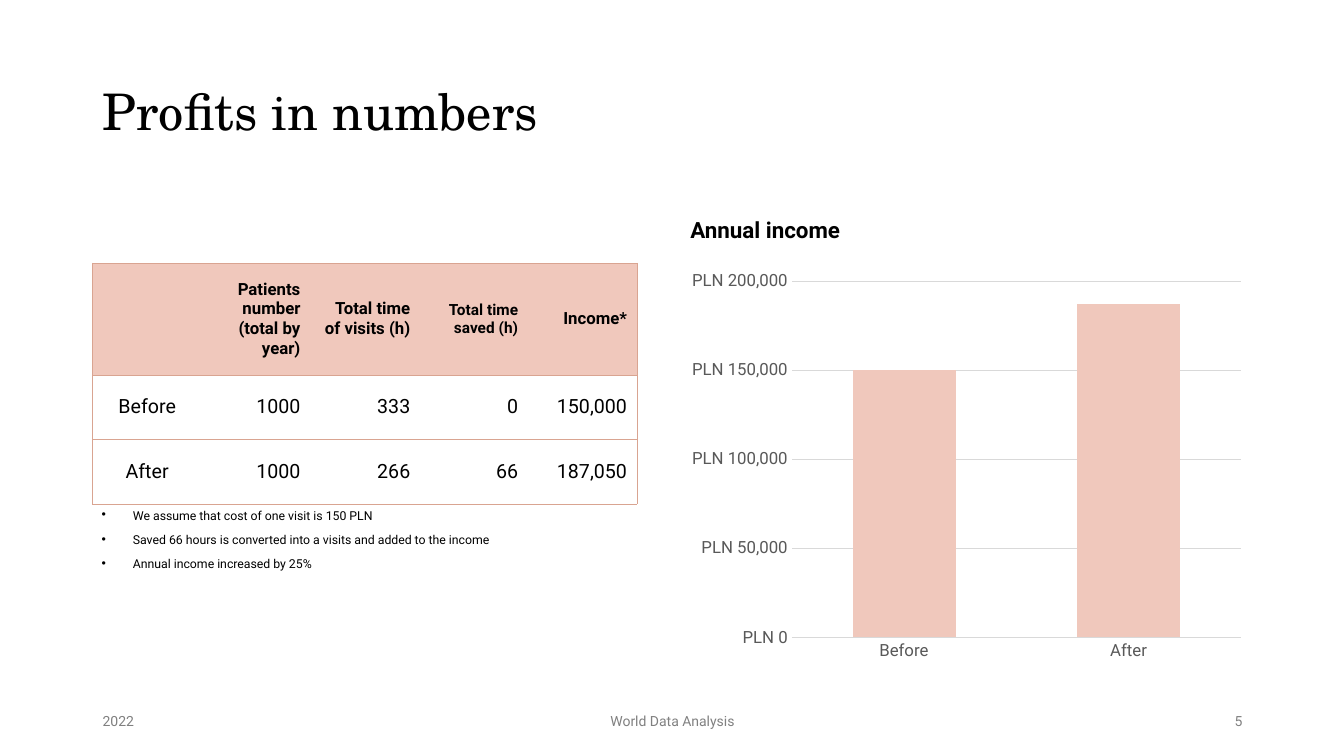
"""Build the slide on profits in numbers."""
from dataclasses import dataclass

from lxml.etree import SubElement as Sub
from pptx import Presentation
from pptx.chart.data import CategoryChartData as Data
from pptx.dml.color import RGBColor as RGB
from pptx.enum.chart import XL_CHART_TYPE as Kind, XL_TICK_MARK as Tick
from pptx.enum.text import MSO_ANCHOR as Anchor, PP_ALIGN as Align
from pptx.oxml.ns import qn
from pptx.util import Inches, Pt

TITLE = "Profits in numbers"
HEADS = ["", "Patients number (total by year)", "Total time of visits (h)",
         "Total time saved (h)", "Income*"]
ROWS = [HEADS,
        ["Before", "1000", "333", "0", "150,000"],
        ["After", "1000", "266", "66", "187,050"]]
WIDE = [1.08, 1.08, 1.09, 1.07, 1.08]
HIGH = [1.11, 0.64, 0.64]
NOTES = ["We assume that cost of one visit is 150 PLN",
         "Saved 66 hours is converted into a visits and added to the income",
         "Annual income increased by 25%"]
CHART = "Annual income"
INCOME = {"Before": 150000, "After": 187000}
FOOT = [("2022", 0.92, 3, Align.LEFT),
        ("World Data Analysis", 4.42, 4.5, Align.CENTER),
        ("5", 9.42, 3, Align.RIGHT)]


@dataclass(frozen=True)
class Theme:
    """Colours, fonts and type sizes."""
    serif: str = "TeX Gyre Schola"
    sans: str = "Roboto"
    ink: str = "000000"
    axis: str = "595959"
    foot: str = "808080"
    grid: str = "D9D9D9"
    pink: str = "F0C8BC"
    edge: str = "D9A491"
    title: float = 36
    head: float = 16
    cell: float = 14
    label: float = 12
    tight: float = 11
    small: float = 10
    note: float = 8.8


T = Theme()


def style(font, size, color=T.ink, bold=False, name=T.sans):
    """Set the look of a font."""
    font.name, font.size, font.bold = name, Pt(size), bold
    font.color.rgb = RGB.from_string(color)


def write(slide, box, lines, size, color=T.ink, bold=False,
          align=Align.LEFT, space=None, bullet=False):
    """Add a text box with one paragraph per line."""
    frame = slide.shapes.add_textbox(*map(Inches, box)).text_frame
    frame.word_wrap = True
    frame.vertical_anchor = Anchor.MIDDLE
    frame.text = "\n".join(lines)
    for i, para in enumerate(frame.paragraphs):
        para.alignment = align
        para.line_spacing = space
        if i:
            para.space_before = Pt(10)
        if bullet:
            props = para._p.get_or_add_pPr()
            props.set("marL", str(Inches(0.31)))
            props.set("indent", str(-Inches(0.31)))
            Sub(props, qn("a:buFont"), typeface="Arial")
            Sub(props, qn("a:buChar"), char="•")
        style(para.font, size, color, bold)


def border(cell, sides):
    """Draw the named sides of a cell and clear the others."""
    props = cell._tc.get_or_add_tcPr()
    for side in "LRTB":
        line = Sub(props, qn("a:ln" + side), w=str(Pt(0.5)))
        if side in sides:
            fill = Sub(line, qn("a:solidFill"))
            Sub(fill, qn("a:srgbClr"), val=T.edge)
        else:
            Sub(line, qn("a:noFill"))


def add_grid(slide):
    """Add the table of visits and income."""
    box = map(Inches, (0.92, 2.61, sum(WIDE), sum(HIGH)))
    table = slide.shapes.add_table(len(ROWS), len(WIDE), *box).table
    table.first_row = table.horz_banding = False
    for col, wide in zip(table.columns, WIDE):
        col.width = Inches(wide)
    for r, (row, high) in enumerate(zip(ROWS, HIGH)):
        table.rows[r].height = Inches(high)
        for c, text in enumerate(row):
            cell = table.cell(r, c)
            ends = {0: "L", len(row) - 1: "R"}
            border(cell, "TB" + ends.get(c, ""))
            if r:
                cell.fill.background()
            else:
                cell.fill.solid()
                cell.fill.fore_color.rgb = RGB.from_string(T.pink)
            cell.vertical_anchor = Anchor.MIDDLE
            cell.text = text
            para = cell.text_frame.paragraphs[0]
            para.alignment = Align.RIGHT if c else Align.CENTER
            size = T.cell if r else T.tight if c == 3 else T.label
            style(para.font, size, bold=not r)


def add_bars(slide):
    """Add the column chart of annual income."""
    data = Data()
    data.categories = list(INCOME)
    data.add_series("Series 1", list(INCOME.values()))
    box = map(Inches, (6.75, 2.61, 5.67, 4.03))
    chart = slide.shapes.add_chart(Kind.COLUMN_CLUSTERED, *box, data).chart
    chart.has_legend = chart.has_title = False
    style(chart.font, T.small)
    plot = chart.plots[0]
    plot.gap_width, plot.overlap, plot.vary_by_categories = 118, -3, False
    fill = plot.series[0].format.fill
    fill.solid()
    fill.fore_color.rgb = RGB.from_string(T.pink)
    cats, vals = chart.category_axis, chart.value_axis
    for axis in (cats, vals):
        axis.major_tick_mark = axis.minor_tick_mark = Tick.NONE
        style(axis.tick_labels.font, T.label, T.axis)
    vals.minimum_scale, vals.maximum_scale, vals.major_unit = 0, 200000, 50000
    vals.tick_labels.number_format = r"[$PLN]\ #,##0"
    vals.tick_labels.number_format_is_linked = False
    vals.format.line.fill.background()
    vals.has_major_gridlines = True
    for part in (cats, vals.major_gridlines):
        part.format.line.width = Pt(0.75)
        part.format.line.color.rgb = RGB.from_string(T.grid)


def main():
    """Build and save the slide."""
    deck = Presentation()
    deck.slide_width, deck.slide_height = Inches(13.33), Inches(7.5)
    slide = deck.slides.add_slide(deck.slide_layouts[5])
    title = slide.shapes.title
    title.left, title.top = Inches(0.92), Inches(0.78)
    title.width, title.height = Inches(11.5), Inches(0.7)
    title.text = TITLE
    title.text_frame.vertical_anchor = Anchor.MIDDLE
    para = title.text_frame.paragraphs[0]
    para.alignment, para.line_spacing = Align.LEFT, 0.9
    style(para.font, T.title, name=T.serif)
    write(slide, (0.91, 5.02, 5.41, 0.7), NOTES, T.note, space=0.7, bullet=True)
    add_grid(slide)
    write(slide, (6.75, 1.99, 5.67, 0.6), [CHART], T.head, bold=True, space=0.9)
    add_bars(slide)
    for text, left, wide, align in FOOT:
        write(slide, (left, 6.95, wide, 0.4), [text], T.small, T.foot, align=align)
    deck.save("out.pptx")


if __name__ == "__main__":
    main()
